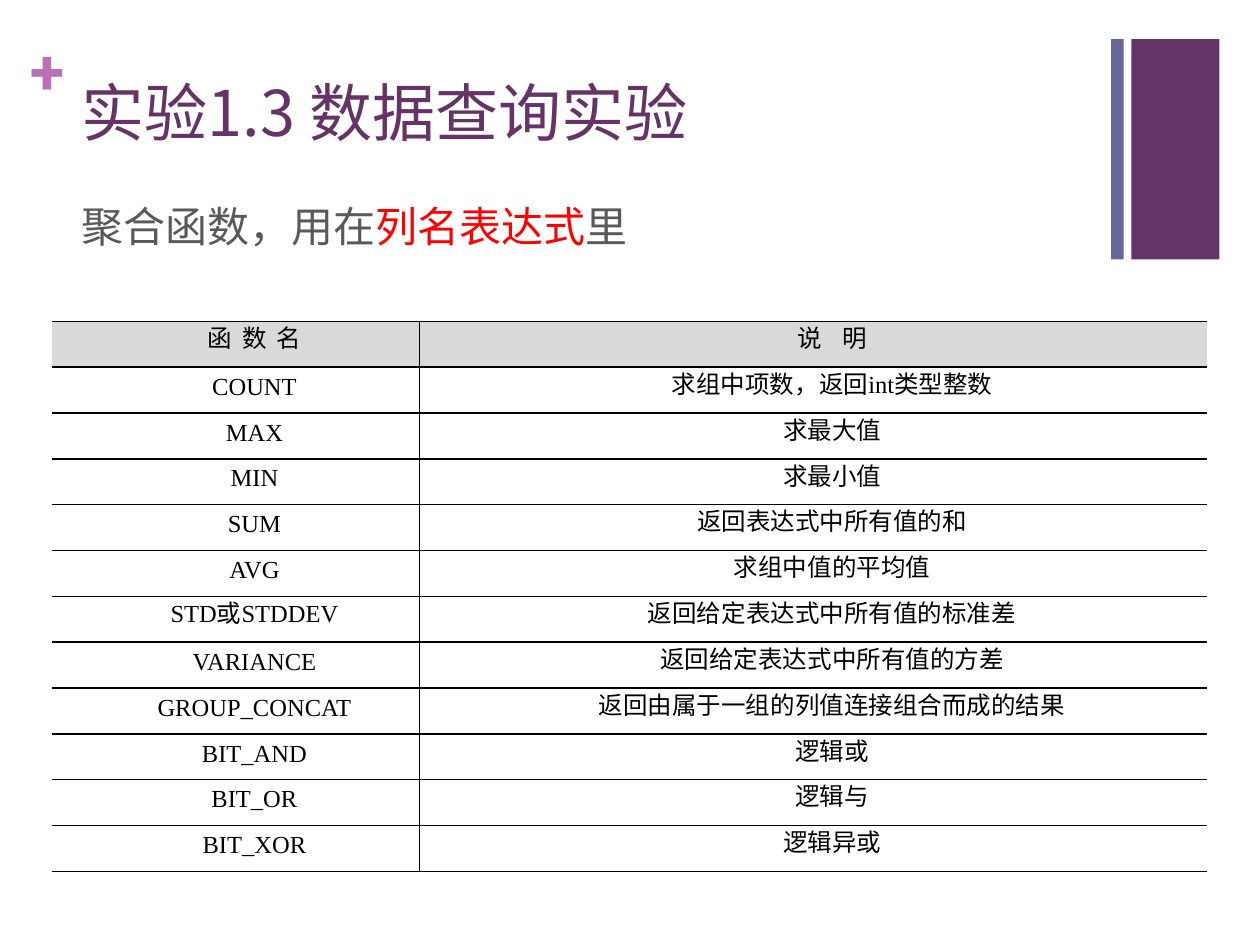
from lxml import etree
from pptx import Presentation
from pptx.dml.color import RGBColor
from pptx.enum.lang import MSO_LANGUAGE_ID
from pptx.enum.shapes import MSO_SHAPE
from pptx.enum.text import MSO_ANCHOR, PP_ALIGN
from pptx.oxml.ns import qn
from pptx.util import Pt

RECTANGLE = MSO_SHAPE.RECTANGLE
CENTER = PP_ALIGN.CENTER
MIDDLE = MSO_ANCHOR.MIDDLE
CHINESE = MSO_LANGUAGE_ID.SIMPLIFIED_CHINESE

COLORS = {
    "purple": "663366",
    "orchid": "B870B8",
    "slate": "666699",
    "gray": "595959",
    "red": "FF0000",
    "black": "000000",
    "header": "D9D9D9",
}
SLAB, SANS, SERIF, ARIAL = "Roboto Slab", "Noto Sans CJK SC", "Times New Roman", "Arial"

# Header texts with their letter spacing in points
HEADERS = [("函 数 名", 1.25), ("说 明", 4.4)]
FUNCTIONS = [
    ("COUNT", "求组中项数，返回int类型整数"),
    ("MAX", "求最大值"),
    ("MIN", "求最小值"),
    ("SUM", "返回表达式中所有值的和"),
    ("AVG", "求组中值的平均值"),
    ("STD或STDDEV", "返回给定表达式中所有值的标准差"),
    ("VARIANCE", "返回给定表达式中所有值的方差"),
    ("GROUP_CONCAT", "返回由属于一组的列值连接组合而成的结果"),
    ("BIT_AND", "逻辑或"),
    ("BIT_OR", "逻辑与"),
    ("BIT_XOR", "逻辑异或"),
]
COLUMN_WIDTHS = [210.24, 450]
ROW_HEIGHT = 26.22


def color(name):
    return RGBColor.from_string(COLORS[name])


def set_attributes(target, values):
    for name, value in values.items():
        setattr(target, name, value)


def add_run(paragraph, text, size, font, color_name, bold=False):
    run = paragraph.add_run()
    run.text = text
    set_attributes(run.font, {"size": Pt(size), "name": font, "bold": bold,
                              "language_id": CHINESE})
    run.font.color.rgb = color(color_name)
    # East Asian typeface
    properties = run.font._element
    etree.SubElement(properties, qn("a:ea")).set("typeface", SANS)
    return properties


def add_bar(slide, left, top, width, height, color_name):
    shape = slide.shapes.add_shape(RECTANGLE, Pt(left), Pt(top), Pt(width), Pt(height))
    shape.shadow.inherit = False
    shape.fill.solid()
    shape.fill.fore_color.rgb = color(color_name)
    shape.line.fill.background()


def add_text(slide, left, top, width, height, runs, margins=(7.2, 3.6), space_before=0):
    shape = slide.shapes.add_textbox(Pt(left), Pt(top), Pt(width), Pt(height))
    horizontal, vertical = (Pt(margin) for margin in margins)
    set_attributes(shape.text_frame, {
        "word_wrap": True,
        "margin_left": horizontal, "margin_right": horizontal,
        "margin_top": vertical, "margin_bottom": vertical,
    })
    paragraph = shape.text_frame.paragraphs[0]
    paragraph.space_before = Pt(space_before)
    for run in runs:
        add_run(paragraph, *run)


def set_borders(cell, visible_sides):
    properties = cell._tc.get_or_add_tcPr()
    for position, side in enumerate("LRTB"):
        line = etree.Element(qn(f"a:ln{side}"), w=str(Pt(1)))
        if side in visible_sides:
            fill = etree.SubElement(line, qn("a:solidFill"))
            etree.SubElement(fill, qn("a:srgbClr"), val=COLORS["black"])
        else:
            etree.SubElement(line, qn("a:noFill"))
        properties.insert(position, line)


def fill_cell(cell, text, font, visible_sides, fill_name=None, letter_spacing=0):
    set_attributes(cell, {
        "vertical_anchor": MIDDLE,
        "margin_left": Pt(5), "margin_right": Pt(5),
        "margin_top": 0, "margin_bottom": 0,
    })
    if fill_name:
        cell.fill.solid()
        cell.fill.fore_color.rgb = color(fill_name)
    else:
        cell.fill.background()
    set_borders(cell, visible_sides)

    paragraph = cell.text_frame.paragraphs[0]
    set_attributes(paragraph, {"alignment": CENTER, "line_spacing": Pt(12),
                               "space_after": Pt(1.5)})
    paragraph._p.get_or_add_pPr().set("indent", str(Pt(21.6)))
    properties = add_run(paragraph, text, 14, font, "black")
    if letter_spacing:
        properties.set("spc", str(round(letter_spacing * 100)))


def add_function_table(slide, left, top):
    row_count = len(FUNCTIONS) + 1
    table = slide.shapes.add_table(
        row_count, len(COLUMN_WIDTHS), Pt(left), Pt(top),
        Pt(sum(COLUMN_WIDTHS)), Pt(ROW_HEIGHT * row_count)).table
    set_attributes(table, {"first_row": False, "horz_banding": False})
    for column, width in zip(table.columns, COLUMN_WIDTHS):
        column.width = Pt(width)
    for row in table.rows:
        row.height = Pt(ROW_HEIGHT)

    # One divider between the columns, open outer sides
    column_sides = ["RTB", "LTB"]
    for column, (text, spacing) in enumerate(HEADERS):
        fill_cell(table.cell(0, column), text, ARIAL, column_sides[column],
                  "header", spacing)
    for row, texts in enumerate(FUNCTIONS, start=1):
        for column, text in enumerate(texts):
            fill_cell(table.cell(row, column), text, SERIF, column_sides[column])


def main():
    presentation = Presentation()
    set_attributes(presentation, {"slide_width": Pt(720), "slide_height": Pt(540)})
    slide = presentation.slides.add_slide(presentation.slide_layouts[6])

    # Corner decoration
    add_bar(slide, 646.5, 22.3, 50.4, 126, "purple")
    add_text(slide, 17.3, 18, 20.9, 43.9, [("+", 36, SLAB, "orchid", True)], margins=(0, 0))
    add_bar(slide, 635, 22.3, 7.2, 126, "slate")

    # Title and lead sentence
    add_text(slide, 39.6, 38.2, 594.7, 87.8, [
        ("实验", 36, SLAB, "purple"),
        ("1.3 ", 36, SANS, "purple"),
        ("数据查询实验", 36, SLAB, "purple"),
    ])
    add_text(slide, 39.6, 110.9, 594.7, 373, [
        ("聚合函数，用在", 24, SLAB, "gray"),
        ("列名表达式", 24, SLAB, "red"),
        ("里", 24, SLAB, "gray"),
    ], space_before=20)

    # Aggregate functions
    add_function_table(slide, 29.5, 183.6)

    presentation.save("out.pptx")


main()
